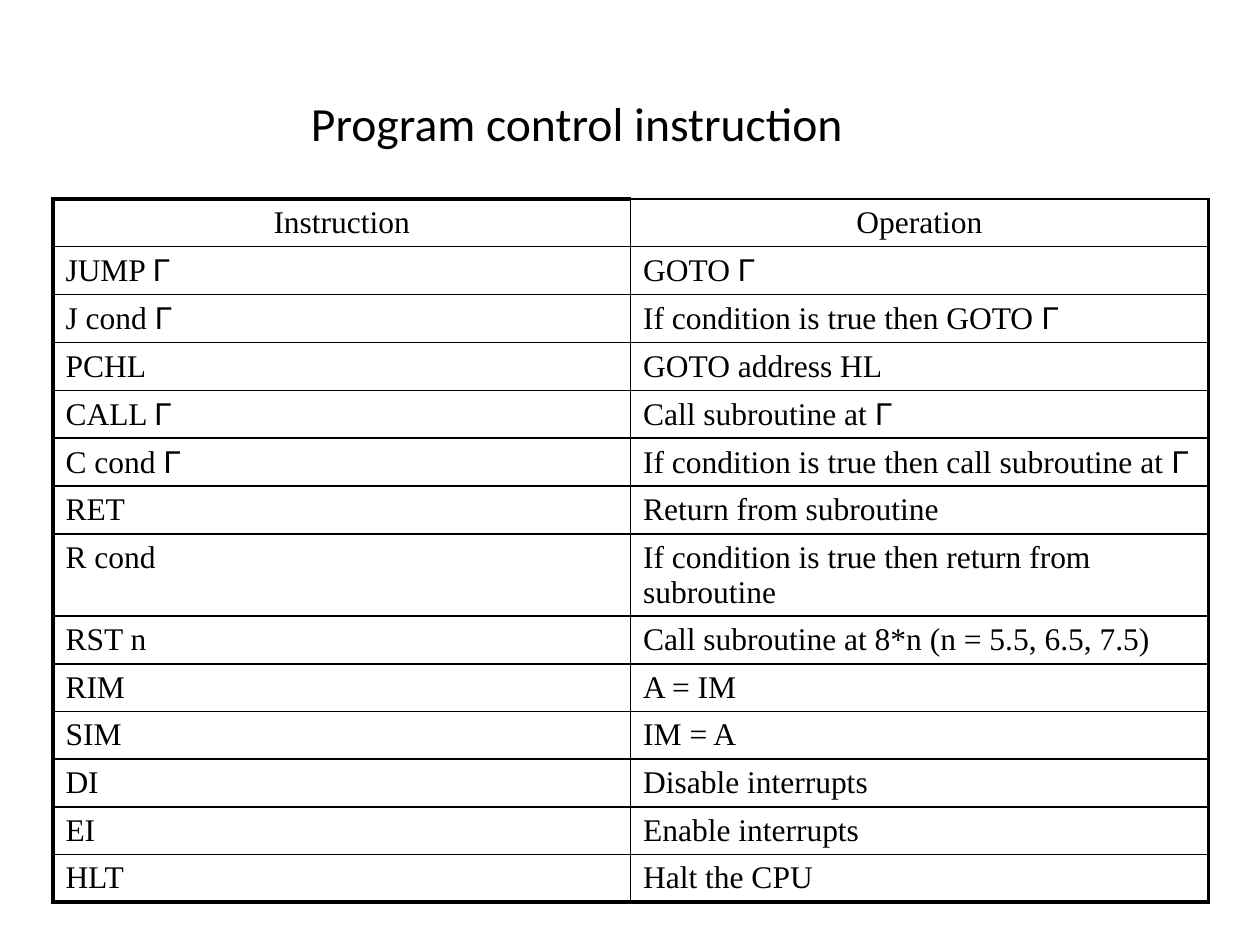
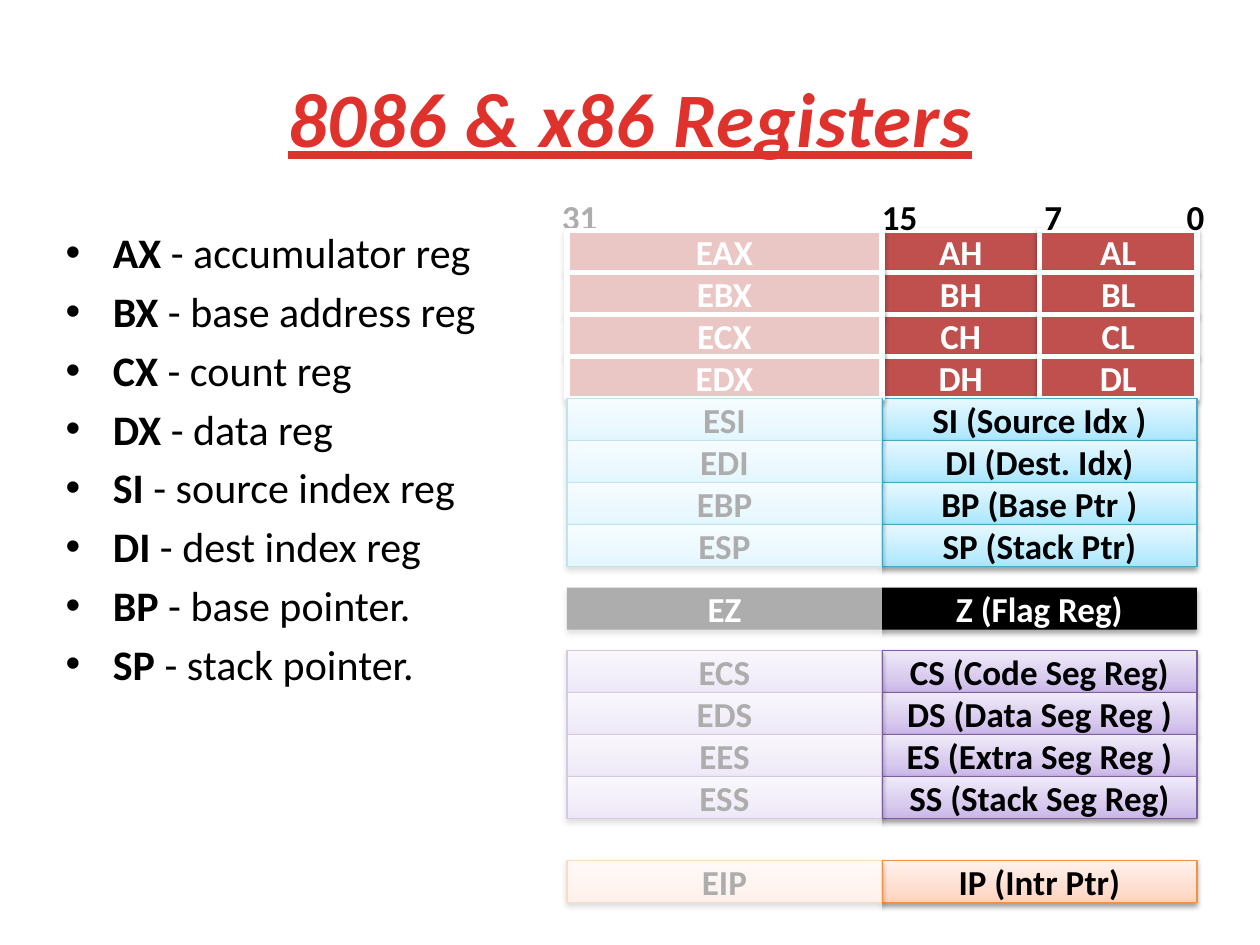
from dataclasses import dataclass
from typing import Any, NamedTuple, Optional

from lxml.etree import SubElement
from pptx import Presentation
from pptx.dml.color import RGBColor
from pptx.enum.shapes import MSO_SHAPE
from pptx.enum.text import MSO_ANCHOR, MSO_AUTO_SIZE, PP_ALIGN
from pptx.oxml.ns import qn
from pptx.util import Inches, Pt


@dataclass(frozen=True)
class Theme:
    sans: str = "Calibri"
    serif: str = "Times New Roman"
    symbol: str = "Arial"
    black: str = "000000"
    white: str = "FFFFFF"
    red: str = "E0322D"
    small_title: float = 27.2
    big_title: float = 44
    list_size: float = 24
    cell_size: float = 18
    register_size: float = 20
    thin_border: float = 0.96
    thick_border: float = 2.21


THEME = Theme()


class Box(NamedTuple):
    left: float
    top: float
    width: float
    height: float


@dataclass(frozen=True)
class RegisterStyle:
    """One fill colour is solid; three run from bottom to top."""
    fills: tuple[str, ...]
    text: str
    line: Optional[str] = None
    line_width: float = 0.75
    shadow_opacity: int = 38
    shadow_distance: float = 1.6


GENERAL = RegisterStyle(("C0504D",), THEME.white, THEME.white, 3)
INDEX = RegisterStyle(("A7E6FF", "C1EDFF", "E7F8FF"), THEME.black, "46AAC4")
FLAG = RegisterStyle((THEME.black,), THEME.white, None, 0, 35, 1.8)
SEGMENT = RegisterStyle(("C9B5E8", "D8CBEE", "F0EAF9"), THEME.black, "7D5FA0")
POINTER = RegisterStyle(("FFD2BD", "FFDED0", "FFF2ED"), THEME.black, "F59240")


class RegisterGroup(NamedTuple):
    first_row: float
    style: RegisterStyle
    registers: list[tuple[str, ...]]  # extended name, then its low parts


REGISTER_GROUPS = [
    RegisterGroup(0, GENERAL, [("EAX", "AH", "AL"), ("EBX", "BH", "BL"),
                               ("ECX", "CH", "CL"), ("EDX", "DH", "DL")]),
    RegisterGroup(4, INDEX, [("ESI", "SI (Source Idx )"), ("EDI", "DI (Dest. Idx)"),
                             ("EBP", "BP (Base Ptr )"), ("ESP", "SP (Stack Ptr)")]),
    RegisterGroup(8.5, FLAG, [("EZ", "Z (Flag Reg)")]),
    RegisterGroup(10, SEGMENT, [("ECS", "CS (Code Seg Reg)"), ("EDS", "DS (Data Seg Reg )"),
                                ("EES", "ES (Extra Seg Reg )"), ("ESS", "SS (Stack Seg Reg)")]),
    RegisterGroup(15, POINTER, [("EIP", "IP (Intr Ptr)")]),
]
EXTENDED_LEFT, LOW_LEFT, HALF_WIDTH = 4.5, 7, 2.5
REGISTER_TOP, REGISTER_HEIGHT = 1.83, 1 / 3
BIT_BOX = Box(4.17, 1.5, 5.58, 0.76)
BIT_TABS = {"31": 0.19, "15": 2.73, "7": 4.02, "0": 5.15}

REGISTER_NOTES = [
    ("AX", "accumulator reg"), ("BX", "base address reg"), ("CX", "count reg"),
    ("DX", "data reg"), ("SI", "source index reg"), ("DI", "dest index reg"),
    ("BP", "base pointer."), ("SP", "stack pointer."),
]

INSTRUCTIONS = [
    ("Instruction", "Operation"),
    ("JUMP Γ", "GOTO Γ"),
    ("J cond Γ", "If condition is true then GOTO Γ"),
    ("PCHL", "GOTO address HL"),
    ("CALL Γ", "Call subroutine at Γ"),
    ("C cond Γ", "If condition is true then call subroutine at Γ"),
    ("RET", "Return from subroutine"),
    ("R cond", "If condition is true then return from subroutine"),
    ("RST n", "Call subroutine at 8*n (n = 5.5, 6.5, 7.5)"),
    ("RIM", "A = IM"),
    ("SIM", "IM = A"),
    ("DI", "Disable interrupts"),
    ("EI", "Enable interrupts"),
    ("HLT", "Halt the CPU"),
]
TABLE_BOX = Box(0.42, 1.58, 9.17, 5.57)
WRAPPED_ROW, WRAPPED_HEIGHT = 7, 0.65


def set_values(target: Any, values: dict[str, Any]) -> None:
    for name, value in values.items():
        setattr(target, name, value)


def place(shape: Any, box: Box) -> None:
    set_values(shape, {side: Inches(value) for side, value in box._asdict().items()})


def add_span(para: Any, text: str, size: float, color: str = THEME.black,
             font: str = THEME.sans, **values: Any) -> Any:
    span = para.add_run()
    span.text = text
    set_values(span.font, {"name": font, "size": Pt(size), **values})
    span.font.color.rgb = RGBColor.from_string(color)
    return span


def add_title(page: Any, box: Box, anchor: Any, text: str, size: float,
              color: str = THEME.black, **values: Any) -> Any:
    title = page.shapes.title
    place(title, box)
    set_values(title.text_frame, {"vertical_anchor": anchor, "word_wrap": True,
                                  "auto_size": MSO_AUTO_SIZE.NONE})
    para = title.text_frame.paragraphs[0]
    para.alignment = PP_ALIGN.CENTER
    add_span(para, text, size, color, **values)
    return para


def set_borders(cell: Any, widths: dict[str, float]) -> None:
    properties = cell._tc.get_or_add_tcPr()
    for side, width in widths.items():
        line = SubElement(properties, qn(f"a:ln{side}"), w=str(Pt(width)))
        fill = SubElement(line, qn("a:solidFill"))
        SubElement(fill, qn("a:srgbClr"), val=THEME.black)


def fill_cell(cell: Any, text: str, is_header: bool) -> None:
    para = cell.text_frame.paragraphs[0]
    para.alignment = PP_ALIGN.CENTER if is_header else PP_ALIGN.LEFT
    words, symbol, _ = text.partition("Γ")
    add_span(para, words, THEME.cell_size, font=THEME.serif)
    if symbol:
        add_span(para, symbol, THEME.cell_size, font=THEME.symbol)


def add_instruction_table(page: Any) -> None:
    last_row = len(INSTRUCTIONS) - 1
    frame = page.shapes.add_table(len(INSTRUCTIONS), 2, *map(Inches, TABLE_BOX))
    table = frame.table
    set_values(table, {"first_row": False, "horz_banding": False})
    row_height = (TABLE_BOX.height - WRAPPED_HEIGHT) / last_row
    thin, thick = THEME.thin_border, THEME.thick_border
    for row, texts in enumerate(INSTRUCTIONS):
        table.rows[row].height = Inches(WRAPPED_HEIGHT if row == WRAPPED_ROW else row_height)
        for column, text in enumerate(texts):
            cell = table.cell(row, column)
            fill_cell(cell, text, row == 0)
            set_borders(cell, {
                "L": thick if column == 0 else thin,
                "R": thick if column == 1 else thin,
                "T": thick if row == column == 0 else thin,
                "B": thick if row == last_row else thin,
            })
            cell.fill.background()


def set_gradient(shape: Any, colors: tuple[str, ...]) -> None:
    shape.fill.gradient()
    shape.fill.gradient_angle = 90
    stops = shape._element.spPr.find(f".//{qn('a:gsLst')}")
    for stop in list(stops):
        stops.remove(stop)
    for position, color in zip((0, 35, 100), colors):
        stop = SubElement(stops, qn("a:gs"), pos=str(position * 1000))
        SubElement(stop, qn("a:srgbClr"), val=color)


def add_shadow(shape: Any, opacity: int, distance: float) -> None:
    effects = shape._element.spPr.find(qn("a:effectLst"))
    shadow = SubElement(effects, qn("a:outerShdw"), blurRad=str(Pt(3.1)),
                        dist=str(Pt(distance)), dir="5400000", rotWithShape="0")
    color = SubElement(shadow, qn("a:srgbClr"), val=THEME.black)
    SubElement(color, qn("a:alpha"), val=str(opacity * 1000))


def add_rectangle(page: Any, box: Box) -> Any:
    shape = page.shapes.add_shape(MSO_SHAPE.RECTANGLE, *map(Inches, box))
    shape.shadow.inherit = False
    return shape


def add_register(page: Any, box: Box, name: str, style: RegisterStyle) -> None:
    shape = add_rectangle(page, box)
    if len(style.fills) > 1:
        set_gradient(shape, style.fills)
    else:
        shape.fill.solid()
        shape.fill.fore_color.rgb = RGBColor.from_string(style.fills[0])
    if style.line:
        shape.line.color.rgb = RGBColor.from_string(style.line)
        shape.line.width = Pt(style.line_width)
    else:
        shape.line.fill.background()
    add_shadow(shape, style.shadow_opacity, style.shadow_distance)
    set_values(shape.text_frame, {"vertical_anchor": MSO_ANCHOR.MIDDLE, "word_wrap": True})
    para = shape.text_frame.paragraphs[0]
    para.alignment = PP_ALIGN.CENTER
    add_span(para, name, THEME.register_size, style.text, bold=True)


def add_register_half(page: Any, left: float, extended: bool) -> None:
    for group in REGISTER_GROUPS:
        for row, names in enumerate(group.registers, 1):
            parts = names[:1] if extended else names[1:]
            width = HALF_WIDTH / len(parts)
            top = REGISTER_TOP + (group.first_row + row - 1) * REGISTER_HEIGHT
            for column, name in enumerate(parts):
                box = Box(left + column * width, top, width, REGISTER_HEIGHT)
                add_register(page, box, name, group.style)


def add_bit_numbers(page: Any) -> None:
    frame = page.shapes.add_textbox(*map(Inches, BIT_BOX)).text_frame
    frame.word_wrap = True
    para = frame.paragraphs[0]
    tabs = SubElement(para._p.get_or_add_pPr(), qn("a:tabLst"))
    for position in BIT_TABS.values():
        SubElement(tabs, qn("a:tab"), pos=str(Inches(position)), algn="l")
    add_span(para, "".join(f"\t{bit}" for bit in BIT_TABS), THEME.register_size, bold=True)


def add_veil(page: Any, box: Box) -> None:
    """Fade the extended registers with translucent white."""
    veil = add_rectangle(page, box)
    veil.fill.solid()
    veil.fill.fore_color.rgb = RGBColor.from_string(THEME.white)
    veil.line.fill.background()
    color = veil._element.spPr.find(f"{qn('a:solidFill')}/{qn('a:srgbClr')}")
    SubElement(color, qn("a:alpha"), val="68000")


def add_register_notes(page: Any) -> None:
    body = page.placeholders[1]
    place(body, Box(0.42, 1.75, 3.58, 4.42))
    frame = body.text_frame
    set_values(frame, {"word_wrap": True, "auto_size": MSO_AUTO_SIZE.NONE})
    for number, (name, meaning) in enumerate(REGISTER_NOTES):
        para = frame.add_paragraph() if number else frame.paragraphs[0]
        para.space_before = Pt(4.8 if number else 0)
        add_span(para, name, THEME.list_size, bold=True)
        add_span(para, f" - {meaning}", THEME.list_size, bold=False)


def build_instruction_page(deck: Any) -> None:
    page = deck.slides.add_slide(deck.slide_layouts[5])
    para = add_title(page, Box(0.33, 0.75, 8.5, 0.5), MSO_ANCHOR.TOP,
                     "Program control instruction", THEME.small_title)
    para.line_spacing = 0.9
    add_instruction_table(page)


def build_register_page(deck: Any) -> None:
    page = deck.slides.add_slide(deck.slide_layouts[1])
    para = add_title(page, Box(0.5, 0.3, 9, 1.25), MSO_ANCHOR.MIDDLE, "8086 & x86 Registers",
                     THEME.big_title, THEME.red, bold=True, italic=True, underline=True)
    para.runs[0]._r.get_or_add_rPr().set("spc", "50")
    add_register_notes(page)
    add_register_half(page, LOW_LEFT, extended=False)
    add_bit_numbers(page)
    add_register_half(page, EXTENDED_LEFT, extended=True)
    add_veil(page, Box(4.33, 1.42, 2.67, 5.92))


def main() -> None:
    deck = Presentation()
    set_values(deck, {"slide_width": Inches(10), "slide_height": Inches(7.5)})
    build_instruction_page(deck)
    build_register_page(deck)
    deck.save("out.pptx")


if __name__ == "__main__":
    main()
